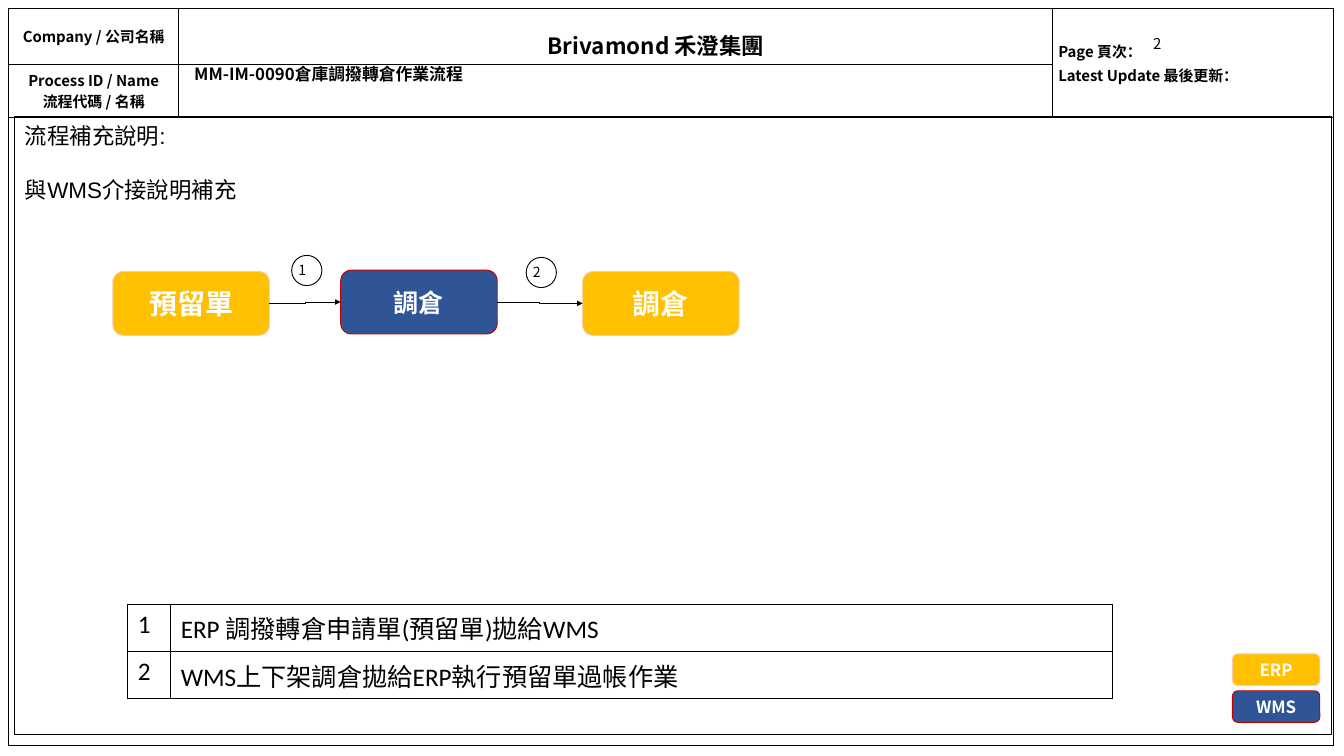
from lxml.etree import SubElement
from pptx import Presentation
from pptx.dml.color import RGBColor
from pptx.enum.shapes import MSO_CONNECTOR as Link, MSO_SHAPE as Preset
from pptx.enum.text import MSO_ANCHOR as Anchor, PP_ALIGN as Align
from pptx.oxml.ns import qn
from pptx.util import Inches, Pt

SANS_TC, SANS_SC = "Noto Sans CJK TC", "Noto Sans CJK SC"
BLACK, WHITE, AMBER, PEACH, NAVY, RED = "000000", "FFFFFF", "FFC000", "F8CBAD", "2F5597", "C00000"

deck = Presentation()
deck.slide_width, deck.slide_height = Inches(20), Inches(11.25)
cell_size = deck.slide_width / 200
slide = deck.slides.add_slide(deck.slide_layouts[6])
shapes = slide.shapes


def grid(*counts):
    return [round(count * cell_size) for count in counts]


def write(frame, lines, size, font, ink=BLACK, bold=False, align=Align.LEFT, gap=0):
    frame.text = "\n".join(lines)
    frame.word_wrap = True
    for index, paragraph in enumerate(frame.paragraphs):
        paragraph.alignment = align
        if index:
            paragraph.space_before = Pt(gap)
        for run in paragraph.runs:
            run.font.size, run.font.bold = Pt(size), bold
            run.font.color.rgb = RGBColor.from_string(ink)
            run.font.name = font
            east_asian = font if "CJK" in font else SANS_SC
            SubElement(run._r.get_or_add_rPr(), qn("a:ea"), typeface=east_asian)


header = shapes.add_table(3, 3, *grid(1.3, 1.3, 197.1, 109.6)).table
legend = shapes.add_table(2, 2, *grid(19, 89.9, 146.5, 12.2)).table
table_layouts = [
    (header, (25.3, 130, 41.8), (8.2, 7.9, 93.5), (0.9, 0.5)),
    (legend, (6.4, 140.1), (6.1, 6.1), (1.5, 0.8)),
]
for table, widths, heights, (side, edge) in table_layouts:
    table.first_row = table.horz_banding = False
    for column, width in zip(table.columns, grid(*widths)):
        column.width = width
    for row, height in zip(table.rows, grid(*heights)):
        row.height = height
    for cell in table.iter_cells():
        cell.margin_left, cell.margin_right = grid(side, side)
        cell.margin_top, cell.margin_bottom = grid(edge, edge)
        properties = cell._tc.get_or_add_tcPr()
        for border in ("a:lnL", "a:lnR", "a:lnT", "a:lnB"):
            line = SubElement(properties, qn(border), w=str(Pt(0.96)))
            SubElement(SubElement(line, qn("a:solidFill")), qn("a:srgbClr"), val=BLACK)
        if table is header:
            cell.fill.solid()
            cell.fill.fore_color.rgb = RGBColor.from_string(WHITE)
        else:
            cell.fill.background()

header.cell(0, 2).merge(header.cell(1, 2))
header.cell(2, 0).merge(header.cell(2, 2))
header_texts = [
    (0, 0, ["Company / 公司名稱"], Align.CENTER, 0),
    (1, 0, ["Process ID / Name", "流程代碼 / 名稱"], Align.CENTER, 0),
    (0, 2, ["Page 頁次：", "Latest Update 最後更新："], Align.LEFT, 3),
]
for row, column, lines, align, gap in header_texts:
    cell = header.cell(row, column)
    cell.vertical_anchor = Anchor.MIDDLE
    write(cell.text_frame, lines, 16, SANS_TC, bold=True, align=align, gap=gap)
group_name = header.cell(0, 1)
group_name.margin_left = grid(12.9)[0]
write(group_name.text_frame, ["Brivamond 禾澄集團"], 24, SANS_TC, bold=True, align=Align.CENTER)
group_name.text_frame.paragraphs[0].line_spacing = 1.5

steps = ["ERP 調撥轉倉申請單(預留單)拋給WMS", "WMS上下架調倉拋給ERP執行預留單過帳作業"]
for index, step in enumerate(steps):
    write(legend.cell(index, 0).text_frame, [str(index + 1)], 27, "Calibri")
    write(legend.cell(index, 1).text_frame, [step], 27, "Calibri")

blocks = [
    (Preset.RECTANGLE, (2.2, 17.4, 195.9, 91.9), None, BLACK, 1.5, ["流程補充說明:", "與WMS介接說明補充"], 24),
    (Preset.ROUNDED_RECTANGLE, (16.8, 40.4, 23.3, 9.5), AMBER, PEACH, 1, ["預留單"], 30),
    (Preset.ROUNDED_RECTANGLE, (50.7, 40.2, 23.3, 9.5), NAVY, RED, 1, ["調倉"], 27),
    (Preset.ROUNDED_RECTANGLE, (86.7, 40.4, 23.3, 9.5), AMBER, PEACH, 1, ["調倉"], 30),
    (Preset.ROUNDED_RECTANGLE, (183.4, 97.3, 13, 4.7), AMBER, PEACH, 1, ["ERP"], 18),
    (Preset.ROUNDED_RECTANGLE, (183.4, 102.8, 13, 4.7), NAVY, RED, 1, ["WMS"], 18),
    (Preset.OVAL, (43.4, 38, 4.5, 4.5), WHITE, BLACK, 1, [], 0),
    (Preset.OVAL, (78.3, 38.3, 4.5, 4.5), WHITE, BLACK, 1, [], 0),
]
drawn = []
for preset, box, fill, outline, weight, lines, size in blocks:
    block = shapes.add_shape(preset, *grid(*box))
    block.shadow.inherit = False
    if fill:
        block.fill.solid()
        block.fill.fore_color.rgb = RGBColor.from_string(fill)
    else:
        block.fill.background()
    block.line.color.rgb = RGBColor.from_string(outline)
    block.line.width = Pt(weight)
    frame = block.text_frame
    frame.margin_left, frame.margin_right, frame.margin_top, frame.margin_bottom = grid(1.5, 1.5, 0.7, 0.7)
    if preset == Preset.RECTANGLE:
        frame.vertical_anchor = Anchor.TOP
        write(frame, lines, size, "Arial", gap=29)
    elif lines:
        frame.vertical_anchor = Anchor.MIDDLE
        write(frame, lines, size, SANS_SC, WHITE, True, Align.CENTER)
    drawn.append(block)

reservation, warehouse_move, posting = drawn[1:4]
for source, target in [(reservation, warehouse_move), (warehouse_move, posting)]:
    arrow = shapes.add_connector(Link.ELBOW, 0, 0, 0, 0)
    arrow.begin_connect(source, 3)
    arrow.end_connect(target, 1)
    arrow.line.color.rgb = RGBColor.from_string(BLACK)
    arrow.line.width = Pt(1)
    SubElement(arrow.line._get_or_add_ln(), qn("a:tailEnd"), type="triangle")
    SubElement(arrow._element.spPr, qn("a:effectLst"))

labels = [
    ((43.4, 38.4, 5.8, 3.5), "1", 15, False, (1, 0.5)),
    ((78.3, 38.7, 5.8, 3.5), "2", 15, False, (1, 0.5)),
    ((170.6, 4.6, 6, 3.7), "2", 16, False, (1, 0.5)),
    ((27.4, 8.8, 78.9, 4.5), "MM-IM-0090倉庫調撥轉倉作業流程", 18, True, (1.5, 0.7)),
]
for box, label, size, bold, (side, edge) in labels:
    frame = shapes.add_textbox(*grid(*box)).text_frame
    frame.margin_left, frame.margin_right, frame.margin_top, frame.margin_bottom = grid(side, side, edge, edge)
    write(frame, [label], size, SANS_SC, bold=bold)

deck.save("out.pptx")
